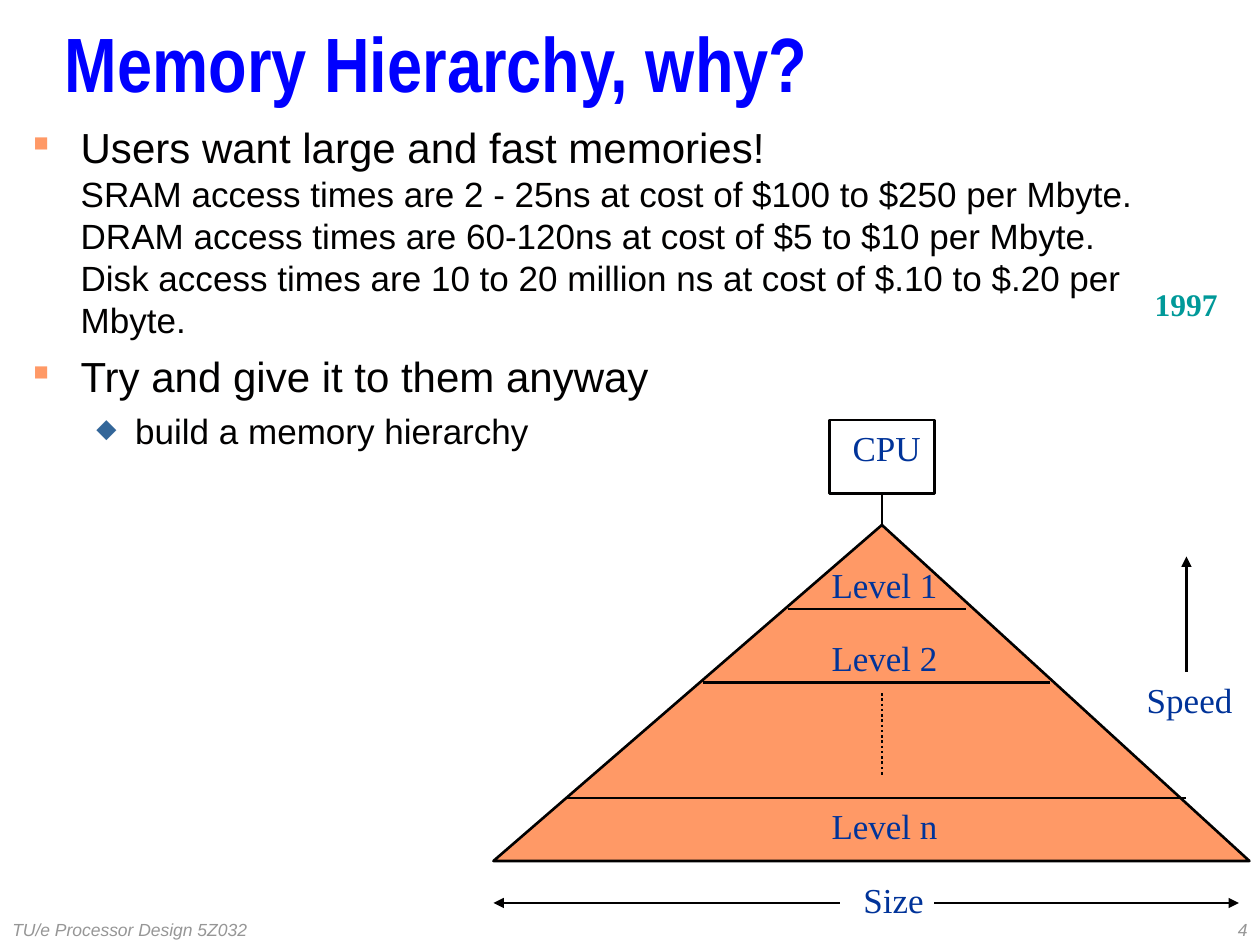
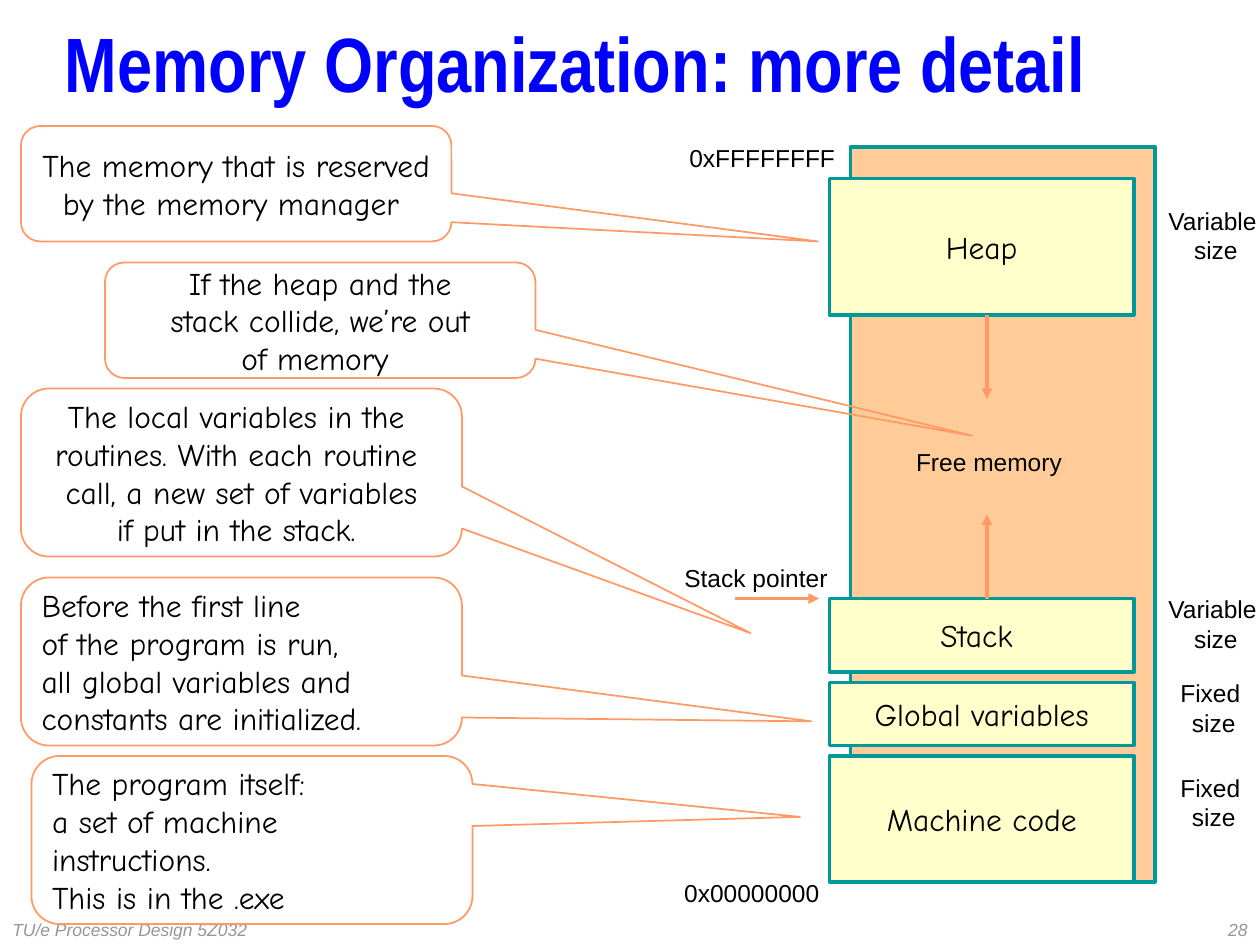
from copy import deepcopy

from lxml import etree
from pptx import Presentation
from pptx.dml.color import RGBColor
from pptx.enum.dml import MSO_LINE
from pptx.enum.shapes import MSO_CONNECTOR, MSO_SHAPE
from pptx.enum.text import MSO_ANCHOR, MSO_AUTO_SIZE, PP_ALIGN
from pptx.oxml.ns import qn
from pptx.util import Pt

PX = 7620
INK = RGBColor(0x01, 0x00, 0x00)
TITLE_BLUE = RGBColor(0x00, 0x00, 0xFF)
LABEL_BLUE = RGBColor(0x00, 0x33, 0x99)
BULLET_BLUE = RGBColor(0x33, 0x66, 0x99)
ORANGE = RGBColor(0xFF, 0x99, 0x66)
PEACH = RGBColor(0xFF, 0xCC, 0x99)
CREAM = RGBColor(0xFF, 0xFF, 0xCC)
TEAL = RGBColor(0x00, 0x99, 0x99)
GREY = RGBColor(0x96, 0x96, 0x96)
SANS, NARROW, SERIF, COMIC = "Arial", "Arial Narrow", "Times New Roman", "Comic Neue"
LEFT, CENTER, RIGHT = PP_ALIGN.LEFT, PP_ALIGN.CENTER, PP_ALIGN.RIGHT
TOP, MIDDLE = MSO_ANCHOR.TOP, MSO_ANCHOR.MIDDLE
NO_FIT = MSO_AUTO_SIZE.NONE
STRAIGHT = MSO_CONNECTOR.STRAIGHT
RECTANGLE, CALLOUT = MSO_SHAPE.RECTANGLE, MSO_SHAPE.ROUNDED_RECTANGULAR_CALLOUT
DOTTED = MSO_LINE.ROUND_DOT
COURSE = "TU/e Processor Design 5Z032"


def emu(*lengths):
    """Turn px lengths into EMU."""
    return [length * PX for length in lengths]


def write(paragraph, text, font=SANS, size=14, color=INK, bold=False, italic=False,
          align=LEFT, spacing=None, before=None, detail_size=None):
    """Fill a paragraph, where a vertical tab breaks the line."""
    paragraph.alignment = align
    paragraph.line_spacing = spacing
    paragraph.space_before = before
    run = None
    for line in text.split("\v"):
        if run is not None:
            paragraph.add_line_break()
            paragraph._p[-1].append(deepcopy(run._r.rPr))
        run = paragraph.add_run()
        run.text = line
        run.font.name, run.font.size = font, Pt(size)
        run.font.bold, run.font.italic = bold, italic
        run.font.color.rgb = color
        size = detail_size or size


def write_all(frame, text, **style):
    """Fill a text frame with one paragraph for each line of text."""
    for index, line in enumerate(text.split("\n")):
        write(frame.add_paragraph() if index else frame.paragraphs[0], line, **style)


def add_text(slide, box, text, anchor=TOP, wrap=False, **style):
    """Add a text box that hugs its text unless it wraps."""
    frame = slide.shapes.add_textbox(*emu(*box)).text_frame
    frame.vertical_anchor = anchor
    if wrap:
        frame.word_wrap, frame.auto_size = True, NO_FIT
    write_all(frame, text, **style)


def paint(shape, fill, line, width):
    """Give a shape its fill and outline."""
    shape.shadow.inherit = False
    if fill is None:
        shape.fill.background()
    else:
        shape.fill.solid()
        shape.fill.fore_color.rgb = fill
    shape.line.color.rgb = line
    shape.line.width = Pt(width)


def add_shape(slide, kind, box, fill, line, width, text="", **style):
    """Add a preset shape with text centred on its height."""
    shape = slide.shapes.add_shape(kind, *emu(*box))
    paint(shape, fill, line, width)
    if text:
        shape.text_frame.word_wrap = False
        shape.text_frame.vertical_anchor = MIDDLE
        write_all(shape.text_frame, text, font=COMIC, size=18, **style)
    return shape


def add_line(slide, start, end, color=INK, width=1.5, arrow=False, dash=None):
    """Add a straight line, with an arrowhead at its end on request."""
    line = slide.shapes.add_connector(STRAIGHT, *emu(*start, *end))
    line.line.color.rgb = color
    line.line.width = Pt(width)
    if dash:
        line.line.dash_style = dash
    if arrow:
        etree.SubElement(line.line._get_or_add_ln(), qn("a:tailEnd"), type="triangle")
    etree.SubElement(line._element.spPr, qn("a:effectLst"))
    return line


def add_bullet(paragraph, char, color, percent, margin, hang):
    """Give a paragraph a hanging bullet."""
    props = paragraph._p.get_or_add_pPr()
    props.set("marL", str(margin * PX))
    props.set("indent", str(-hang * PX))
    tint = etree.SubElement(props, qn("a:buClr"))
    etree.SubElement(tint, qn("a:srgbClr"), val=str(color))
    etree.SubElement(props, qn("a:buSzPct"), val=str(percent * 1000))
    etree.SubElement(props, qn("a:buChar"), char=char)


def start_slide(deck, title, number):
    """Add a slide with its title and footer."""
    slide = deck.slides.add_slide(deck.slide_layouts[6])
    add_text(slide, (50, 20, 1100, 100), title, MIDDLE, True, font=NARROW, size=44,
             color=TITLE_BLUE, bold=True, spacing=0.7)
    for left, text, align in ((950, number, RIGHT), (0, COURSE, LEFT)):
        add_text(slide, (left, 870, 250, 30), text, MIDDLE, True, size=10,
                 color=GREY, italic=True, align=align)
    return slide


def add_reasons(slide, box):
    """Add the bulleted reasons for a hierarchy."""
    frame = slide.shapes.add_textbox(*emu(*box)).text_frame
    frame.word_wrap, frame.auto_size = True, NO_FIT
    square = ("■", ORANGE, 50, 45, 45)
    diamond = ("◆", BULLET_BLUE, 75, 97, 37)
    reasons = (
        ("Users want large and fast memories! \v"
         "SRAM access times are 2 - 25ns at cost of $100 to $250 per Mbyte.\v"
         "DRAM access times are 60-120ns at cost of $5 to $10 per Mbyte.\v"
         "Disk access times are 10 to 20 million ns at cost of $.10 to $.20 per Mbyte.",
         square, 24, None),
        ("Try and give it to them anyway", square, 24, Pt(6)),
        ("build a memory hierarchy", diamond, 20, Pt(5)),
    )
    for index, (text, bullet, size, before) in enumerate(reasons):
        paragraph = frame.add_paragraph() if index else frame.paragraphs[0]
        add_bullet(paragraph, *bullet)
        write(paragraph, text, size=size, before=before, detail_size=20)


def add_pyramid(slide, left, top, width, height):
    """Add the CPU on top of the pyramid of memory levels."""
    apex, right, base = left + 370, left + width, top + height
    outline = slide.shapes.build_freeform(apex, top, scale=PX)
    outline.add_line_segments([(left, base), (right, base)], close=True)
    paint(outline.convert_to_shape(), ORANGE, INK, 1.5)

    labels = (
        ("CPU", 330, -100, 89), ("Level 1", 310, 30, 125), ("Level 2", 310, 100, 125),
        ("Level n", 310, 260, 125), ("Size", 340, 330, 82), ("Speed", 610, 140, 106),
    )
    for text, x, y, label_width in labels:
        add_text(slide, (left + x, top + y, label_width, 53), text, MIDDLE,
                 font=SERIF, size=20, color=LABEL_BLUE, align=CENTER)

    for x1, x2, y in ((280, 450, 80), (200, 530, 150), (70, 660, 260)):
        add_line(slide, (left + x1, top + y), (left + x2, top + y))
    add_line(slide, (apex, top + 160), (apex, top + 240), dash=DOTTED)
    add_line(slide, (left + 660, top + 140), (left + 660, top + 30), arrow=True)
    for x1, x2 in ((330, 0), (420, 710)):
        add_line(slide, (left + x1, base + 40), (left + x2, base + 40), arrow=True)

    cpu = add_shape(slide, RECTANGLE, (apex - 50, top - 100, 100, 70), None, INK, 1.5)
    add_line(slide, (apex, top - 30), (apex, top)).begin_connect(cpu, 2)


def add_memory_map(slide, left, top, width, height):
    """Add the address space with its segments, labels and arrows."""
    add_shape(slide, RECTANGLE, (left, top, width, height), PEACH, TEAL, 2)
    segments = (("Machine code", 580, 120), ("Global variables", 510, 60),
                ("Stack ", 430, 70), ("Heap", 30, 130))
    for name, y, depth in segments:
        add_shape(slide, RECTANGLE, (left - 20, top + y, width, depth), CREAM, TEAL, 2,
                  name, align=CENTER)

    labels = (
        ("0x00000000", -174, 690, 160), ("0xFFFFFFFF", -166, -10, 164),
        ("Free memory", 50, 280, 164), ("Stack pointer", -171, 390, 162),
        ("Fixed \nsize", 302, 500, 88), ("Fixed \nsize", 302, 590, 88),
        ("Variable \nsize", 290, 50, 116), ("Variable \nsize", 290, 420, 116),
    )
    for text, x, y, label_width in labels:
        label_height = 68 if "\n" in text else 41
        add_text(slide, (left + x, top + y, label_width, label_height), text, align=CENTER)

    arrows = ((130, 430, 130, 350), (130, 160, 130, 240), (-110, 430, -30, 430))
    for x1, y1, x2, y2 in arrows:
        add_line(slide, (left + x1, top + y1), (left + x2, top + y2), ORANGE, 2, True)


def add_remark(slide, box, tip, text, align):
    """Add a callout whose pointer ends at the tip."""
    left, top, width, height = box
    remark = add_shape(slide, CALLOUT, box, None, ORANGE, 1, text, align=align)
    remark.adjustments[0] = (tip[0] - left) / width - 0.5
    remark.adjustments[1] = (tip[1] - top) / height - 0.5


def add_remarks(slide, left, top):
    """Add the remarks on the memory segments."""
    remarks = (
        ((10, 600, 420, 160), (742, 658), LEFT,
         "The program itself:\na set of machine \vinstructions.\vThis is in the .exe"),
        ((0, 430, 420, 160), (753, 567), LEFT,
         "Before the first line\vof the program is run,\v"
         "all global variables and \vconstants are initialized."),
        ((0, 250, 420, 160), (695, 483), CENTER,
         "The local variables in the \vroutines. With each routine \v"
         "call, a new set of variables\vif put in the stack. "),
        ((0, 0, 410, 110), (759, 110), CENTER,
         "The memory that is reserved\vby the memory manager "),
        ((80, 130, 410, 110), (906, 295), CENTER,
         "If the heap and the\vstack collide, we’re out\nof memory "),
    )
    for (x, y, width, height), (tip_x, tip_y), align, text in remarks:
        add_remark(slide, (left + x, top + y, width, height),
                   (left + tip_x, top + tip_y), text, align)


def main():
    """Build both slides and save them."""
    deck = Presentation()
    deck.slide_width, deck.slide_height = emu(1200, 900)

    hierarchy = start_slide(deck, "Memory Hierarchy, why?", "4")
    add_text(hierarchy, (1088, 266, 84, 48), "1997", font=SERIF, size=18,
             color=TEAL, bold=True)
    add_reasons(hierarchy, (20, 110, 1160, 390))
    add_pyramid(hierarchy, 470, 500, 720, 320)

    organization = start_slide(deck, "Memory Organization: more detail", "28")
    add_memory_map(organization, 810, 140, 290, 700)
    add_remarks(organization, 20, 120)

    deck.save("out.pptx")


if __name__ == "__main__":
    main()
